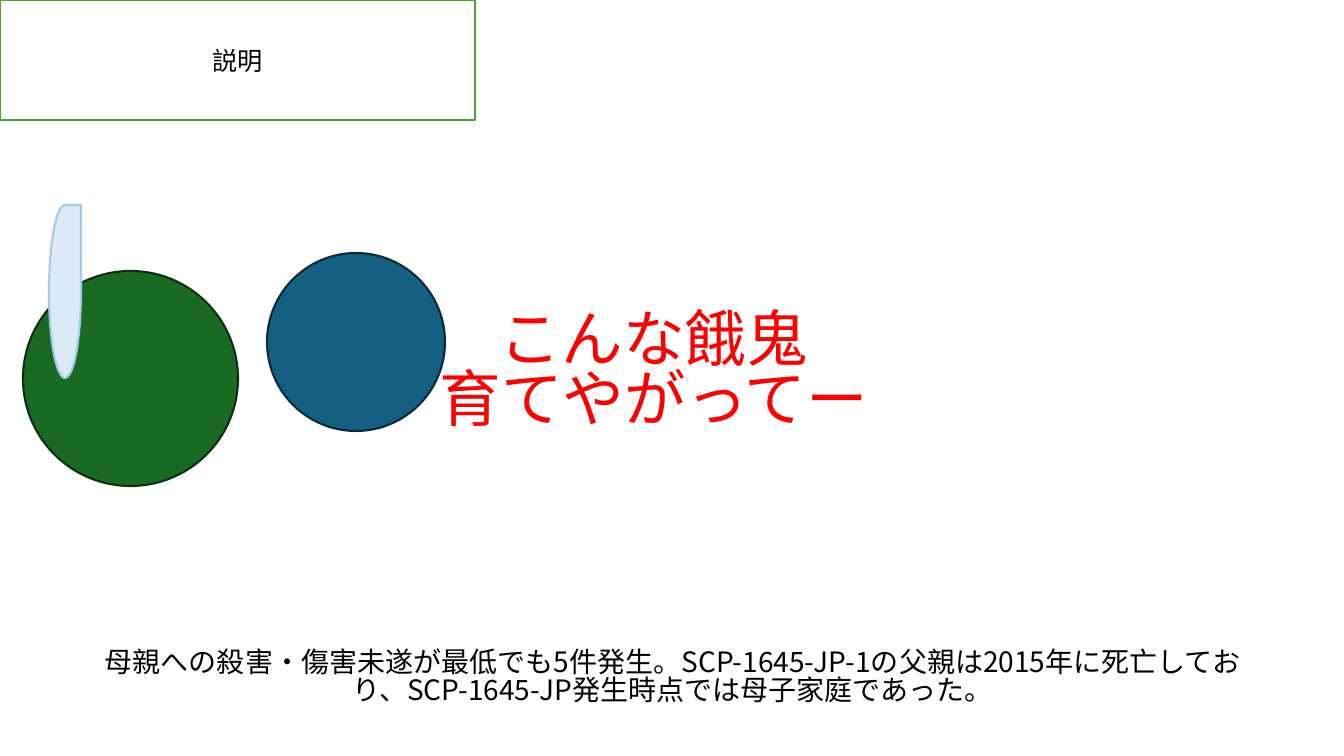
import pptx
import pptx.util
import pptx.dml.color
import pptx.enum.shapes
import pptx.enum.text
import pptx.oxml.ns
import lxml.etree
from dataclasses import dataclass


@dataclass(frozen=True)
class Theme:
    font: str = "Noto Sans CJK JP"
    black: str = "000000"
    white: str = "FFFFFF"
    red: str = "FF0000"
    frame: str = "4EA72E"
    blue: str = "156082"
    blue_edge: str = "092A39"
    green: str = "196B24"
    green_edge: str = "0B2F10"
    pale: str = "DCEAF7"
    pale_edge: str = "A6CAEC"
    label_size: int = 18
    body_size: int = 20
    shout_size: int = 44
    line_width: float = 1.5


theme = Theme()
PX = 914400 / 100.8


def style(sp, box, fill=None, edge=None):
    sp.left, sp.top, sp.width, sp.height = [round(v * PX) for v in box]
    if fill:
        sp.fill.solid()
        sp.fill.fore_color.rgb = pptx.dml.color.RGBColor.from_string(fill)
        sp.line.color.rgb = pptx.dml.color.RGBColor.from_string(edge)
        sp.line.width = pptx.util.Pt(theme.line_width)


def write(sp, lines, size, color, spacing=1.0):
    tf = sp.text_frame
    tf.word_wrap = True
    tf.auto_size = pptx.enum.text.MSO_AUTO_SIZE.NONE
    tf.vertical_anchor = pptx.enum.text.MSO_ANCHOR.MIDDLE
    for i, line in enumerate(lines):
        p = tf.add_paragraph() if i else tf.paragraphs[0]
        p.alignment = pptx.enum.text.PP_ALIGN.CENTER
        p.line_spacing = spacing
        r = p.add_run()
        r.text = line
        r.font.name = theme.font
        r.font.size = pptx.util.Pt(size)
        r.font.color.rgb = pptx.dml.color.RGBColor.from_string(color)
        ea = lxml.etree.SubElement(r.font._element, pptx.oxml.ns.qn("a:ea"))
        ea.set("typeface", theme.font)


prs = pptx.Presentation()
prs.slide_width = round(1344 * PX)
prs.slide_height = round(756 * PX)
s = prs.slides.add_slide(prs.slide_layouts[5])

title = s.shapes.title
style(title, (0, 0, 475, 120), theme.white, theme.frame)
write(title, ["説明"], theme.label_size, theme.black)

summary = s.shapes.add_textbox(0, 0, 0, 0)
style(summary, (88, 601, 1169, 155))
write(summary, ["母親への殺害・傷害未遂が最低でも5件発生。SCP-1645-JP-1の父親は2015年に死亡しており、SCP-1645-JP発生時点では母子家庭であった。"],
      theme.body_size, theme.black, 0.82)

shapes = pptx.enum.shapes.MSO_SHAPE
for kind, box, fill, edge in [
    (shapes.OVAL, (267, 253, 178, 178), theme.blue, theme.blue_edge),
    (shapes.OVAL, (23, 271, 215, 215), theme.green, theme.green_edge),
    (shapes.TEAR, (49, 205, 32, 173), theme.pale, theme.pale_edge),
]:
    sp = s.shapes.add_shape(kind, 0, 0, 0, 0)
    sp.shadow.inherit = False
    style(sp, box, fill, edge)

shout = s.shapes.add_textbox(0, 0, 0, 0)
style(shout, (-15, 120, 1338, 507))
write(shout, ["こんな餓鬼", "育てやがってー"], theme.shout_size, theme.red, 0.82)

prs.save("out.pptx")
